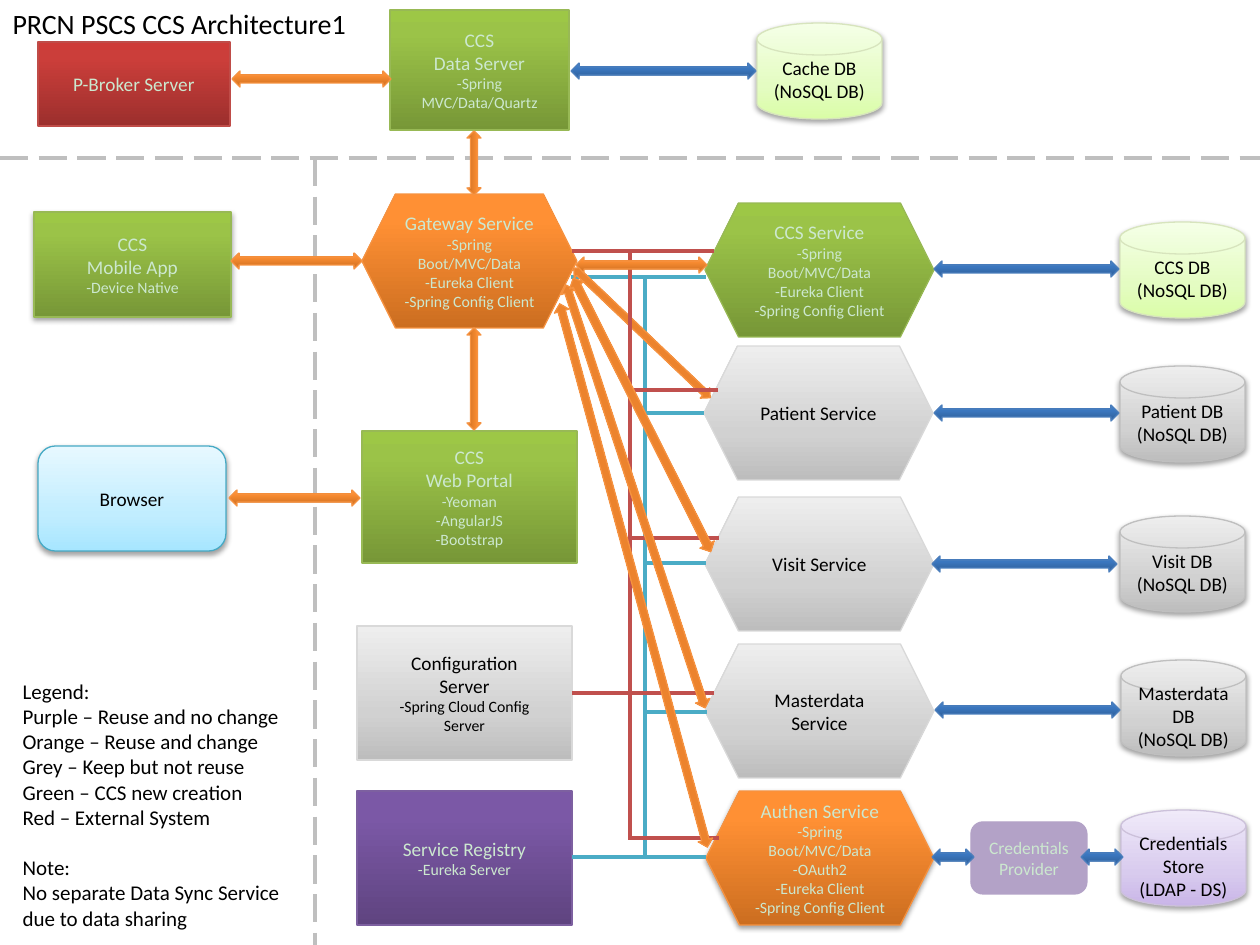
"""Build the PRCN PSCS CCS architecture slide."""
from copy import deepcopy
from dataclasses import dataclass

from lxml import etree
from pptx import Presentation
from pptx.dml.color import RGBColor
from pptx.enum.dml import MSO_LINE
from pptx.enum.shapes import MSO_CONNECTOR, MSO_SHAPE
from pptx.enum.text import MSO_ANCHOR, MSO_AUTO_SIZE, PP_ALIGN
from pptx.oxml import parse_xml
from pptx.oxml.ns import nsdecls, qn
from pptx.util import Emu, Pt

HEXAGON = MSO_SHAPE.HEXAGON
DISK = MSO_SHAPE.FLOWCHART_MAGNETIC_DISK
ROUND = MSO_SHAPE.ROUNDED_RECTANGLE
RECT = MSO_SHAPE.RECTANGLE
ARROW = MSO_SHAPE.LEFT_RIGHT_ARROW
STRAIGHT = MSO_CONNECTOR.STRAIGHT
LONG_DASH = MSO_LINE.LONG_DASH
CENTER, LEFT = PP_ALIGN.CENTER, PP_ALIGN.LEFT
MIDDLE, TOP = MSO_ANCHOR.MIDDLE, MSO_ANCHOR.TOP
GROW = MSO_AUTO_SIZE.SHAPE_TO_FIT_TEXT

EMU_PER_PX = 914400 / 126
FONT = "Calibri"
BLACK, PALE = "000000", "CCE8CF"
CYAN, RED, GREY = "4BACC6", "C0504D", "BFBFBF"


@dataclass(frozen=True)
class Paint:
    stops: tuple
    line: str
    ink: str = BLACK


@dataclass(frozen=True)
class Node:
    box: tuple
    kind: int
    paint: Paint
    text: str
    shadow: bool = False
    corner: float | None = None
    size: int = 11


@dataclass(frozen=True)
class Arrow:
    box: tuple
    paint: Paint
    turn: float = 0


def shades(low: str, mid: str, high: str, middle: float) -> tuple:
    """Return three gradient stops from bottom to top."""
    return (0, low), (middle, mid), (1, high)


ORANGE_PAINT = Paint(shades("CC6E20", "FF9034", "FF9136", 0.8), "F69240", PALE)
GREEN_PAINT = Paint(shades("779737", "9BC348", "9DC746", 0.8), "98B955", PALE)
PURPLE_PAINT = Paint(shades("5F4480", "7B58A6", "7C57A8", 0.8), "7D60A0", PALE)
RED_PAINT = Paint(shades("9C2F2D", "CB3E3A", "CE3B37", 0.8), "BF4C48", PALE)
BLUE_PAINT = Paint(shades("2F5F99", "3D7CC7", "3A7CCB", 0.8), "4B7EBC")
GREY_PAINT = Paint(shades("BDBDBD", "D1D1D1", "EEEEEE", 0.35), "D9D9D9")
GREY_DB_PAINT = Paint(GREY_PAINT.stops, GREY)
LIME_PAINT = Paint(shades("DAFDA7", "E4FCC2", "F5FFE7", 0.35), "D7E4BD")
LILAC_PAINT = Paint(shades("C9B5E8", "D8CBEE", "F0EAF9", 0.35), "CCC1DA")
SKY_PAINT = Paint(shades("A7E6FF", "C1EDFF", "E7F8FF", 0.35), "46AAC5")
MAUVE_PAINT = Paint(((0, "B3A2C7"),), "B3A2C7", PALE)

CLIENT = "-Spring Boot/MVC/Data\n-Eureka Client\n-Spring Config Client"
AUTHEN = CLIENT.replace("\n", "\n-OAuth2\n", 1)
ENGINE = "\n(NoSQL DB)"
NODES = [
    Node((362, 194, 215, 134), HEXAGON, ORANGE_PAINT, "Gateway Service\n" + CLIENT),
    Node((34, 212, 197, 105), HEXAGON, GREEN_PAINT, "CCS\nMobile App\n-Device Native", True, 0),
    Node((357, 791, 215, 134), HEXAGON, PURPLE_PAINT, "Service Registry\n-Eureka Server", corner=0),
    Node((357, 626, 215, 134), HEXAGON, GREY_PAINT,
         "Configuration Server\n-Spring Cloud Config Server", corner=0),
    Node((362, 431, 215, 132), HEXAGON, GREEN_PAINT,
         "CCS\nWeb Portal\n-Yeoman\n-AngularJS\n-Bootstrap", corner=0),
    Node((705, 203, 229, 134), HEXAGON, GREEN_PAINT, "CCS Service\n" + CLIENT),
    Node((704, 346, 229, 134), HEXAGON, GREY_PAINT, "Patient Service"),
    Node((705, 497, 229, 134), HEXAGON, GREY_PAINT, "Visit Service"),
    Node((705, 644, 229, 134), HEXAGON, GREY_PAINT, "Masterdata Service"),
    Node((706, 791, 228, 134), HEXAGON, ORANGE_PAINT, "Authen Service\n" + AUTHEN, True),
    Node((757, 23, 125, 96), DISK, LIME_PAINT, "Cache DB" + ENGINE, True),
    Node((1120, 222, 125, 96), DISK, LIME_PAINT, "CCS DB" + ENGINE, True),
    Node((1120, 366, 125, 96), DISK, GREY_DB_PAINT, "Patient DB" + ENGINE, True),
    Node((1120, 516, 125, 96), DISK, GREY_DB_PAINT, "Visit DB" + ENGINE, True),
    Node((1121, 660, 125, 96), DISK, GREY_DB_PAINT, "Masterdata DB" + ENGINE, True),
    Node((1121, 810, 125, 96), DISK, LILAC_PAINT, "Credentials Store\n(LDAP - DS)", True),
    Node((971, 822, 116, 72), ROUND, MAUVE_PAINT, "Credentials Provider", size=10),
    Node((390, 10, 179, 120), ROUND, GREEN_PAINT,
         "CCS\nData Server\n-Spring MVC/Data/Quartz", corner=0),
    Node((38, 446, 188, 105), ROUND, SKY_PAINT, "Browser", True),
    Node((38, 42, 192, 84), RECT, RED_PAINT, "P-Broker Server"),
]
DB_ARROWS = [
    Arrow((left, top, width, 16), BLUE_PAINT)
    for left, top, width in [(571, 63, 185), (934, 261, 185), (934, 405, 185), (932, 556, 185),
                             (935, 702, 185), (932, 849, 42), (1081, 849, 42)]
]
PATIENT_ARROW = Arrow((548, 326, 188, 14), ORANGE_PAINT, 43.6)
CALL_ARROWS = [
    Arrow(box, ORANGE_PAINT, turn)
    for box, turn in [((576, 257, 131, 16), 0), ((413, 489, 445, 15), 71.8),
                      ((489, 407, 306, 16), 63.3), ((352, 568, 563, 15), 74.8),
                      ((442, 156, 64, 14), 90), ((423, 372, 102, 14), 90),
                      ((231, 253, 131, 16), 0), ((229, 490, 131, 16), 0),
                      ((232, 71, 159, 16), 0)]
]
REGISTRY_LINES = [(572, 857, 706, 857), (645, 277, 645, 857), (645, 712, 707, 712),
                  (643, 413, 704, 413), (644, 563, 706, 563), (571, 277, 706, 277)]
CONFIG_LINES = [(630, 252, 630, 840), (572, 251, 714, 251), (572, 693, 714, 693),
                (629, 838, 719, 838), (627, 390, 718, 390), (629, 538, 719, 538)]
ZONE_LINES = [(315, 158, 315, 945), (0, 158, 1260, 158)]
LEGEND = ["Legend:", "Purple – Reuse and no change", "Orange – Reuse and change",
          "Grey – Keep but not reuse", "Green – CCS new creation", "Red – External System",
          "Note:", "No separate Data Sync Service due to data sharing"]


def px(lengths: tuple) -> list:
    """Turn pixel lengths into EMU."""
    return [Emu(round(length * EMU_PER_PX)) for length in lengths]


def paint_color(color, value: str) -> None:
    """Set a colour from a hex string."""
    color.rgb = RGBColor.from_string(value)


def set_values(target, values: dict) -> None:
    """Set attributes from a dict of format values."""
    for key, value in values.items():
        setattr(target, key, value)


def write(frame, lines: list, size: int, ink: str, align) -> None:
    """Write paragraphs, with details starting with a dash in small type."""
    frame.text = "\n".join(lines)
    for paragraph in frame.paragraphs:
        detail = paragraph.text.startswith("-")
        set_values(paragraph, {"alignment": align, "space_before": Pt(0)})
        set_values(paragraph.runs[0].font, {"name": FONT, "size": Pt(9 if detail else size)})
        paint_color(paragraph.runs[0].font.color, ink)


def add_painted(shapes, kind: int, box: tuple, paint: Paint):
    """Add a preset shape with its fill and outline."""
    shape = shapes.add_shape(kind, *px(box))
    shape.shadow.inherit = False
    if len(paint.stops) == 1:
        shape.fill.solid()
        paint_color(shape.fill.fore_color, paint.stops[0][1])
    else:
        shape.fill.gradient()
        shape.fill.gradient_angle = 90
        stop_list = shape._element.spPr.find(".//" + qn("a:gsLst"))
        stop_list.append(deepcopy(stop_list[0]))
        for stop, (position, value) in zip(shape.fill.gradient_stops, paint.stops):
            stop.position = position
            paint_color(stop.color, value)
    paint_color(shape.line.color, paint.line)
    shape.line.width = Pt(0.75)
    return shape


def add_node(shapes, node: Node) -> None:
    """Add a labelled component."""
    shape = add_painted(shapes, node.kind, node.box, node.paint)
    if node.corner is not None:
        shape.adjustments[0] = node.corner
    if node.shadow:
        shape._element.spPr.find(qn("a:effectLst")).append(parse_xml(
            f'<a:outerShdw {nsdecls("a")} blurRad="39370" dist="21590" dir="5400000" '
            'rotWithShape="0"><a:srgbClr val="000000"><a:alpha val="37000"/>'
            '</a:srgbClr></a:outerShdw>'))
    set_values(shape.text_frame, {"word_wrap": True, "vertical_anchor": MIDDLE})
    write(shape.text_frame, node.text.split("\n"), node.size, node.paint.ink, CENTER)


def add_arrow(shapes, arrow: Arrow) -> None:
    """Add a two-way block arrow."""
    add_painted(shapes, ARROW, arrow.box, arrow.paint).rotation = arrow.turn


def add_lines(shapes, ends: list, color: str, dash=None) -> None:
    """Add straight connectors of one colour."""
    for end in ends:
        line = shapes.add_connector(STRAIGHT, *px(end))
        paint_color(line.line.color, color)
        set_values(line.line, {"width": Pt(2), "dash_style": dash})
        etree.SubElement(line._element.spPr, qn("a:effectLst"))


def fill_placeholder(holder, box: tuple, lines: list, size: int, wrap: bool) -> None:
    """Move a placeholder and give it plain left-aligned text."""
    set_values(holder, dict(zip(("left", "top", "width", "height"), px(box))))
    write(holder.text_frame, lines, size, BLACK, LEFT)
    set_values(holder.text_frame, {"word_wrap": wrap, "vertical_anchor": TOP, "auto_size": GROW})
    for paragraph in holder.text_frame.paragraphs:
        if paragraph.text == "Note:":
            paragraph.space_before = Pt(14.4)
        properties = paragraph._p.get_or_add_pPr()
        properties.set("marL", "0")
        properties.set("indent", "0")
        etree.SubElement(properties, qn("a:buNone"))


def main() -> None:
    """Build and save the slide."""
    deck = Presentation()
    deck.slide_width, deck.slide_height = px((1260, 945))
    slide = deck.slides.add_slide(deck.slide_layouts[1])
    shapes = slide.shapes
    fill_placeholder(shapes.title, (0, 0, 363, 47), ["PRCN PSCS CCS Architecture1"], 16, False)
    fill_placeholder(slide.placeholders[1], (10, 672, 294, 267), LEGEND, 12, True)
    add_lines(shapes, ZONE_LINES, GREY, LONG_DASH)
    for node in NODES:
        add_node(shapes, node)
    add_lines(shapes, REGISTRY_LINES, CYAN)
    add_arrow(shapes, PATIENT_ARROW)
    add_lines(shapes, CONFIG_LINES, RED)
    for arrow in DB_ARROWS + CALL_ARROWS:
        add_arrow(shapes, arrow)
    deck.save("out.pptx")


main()
